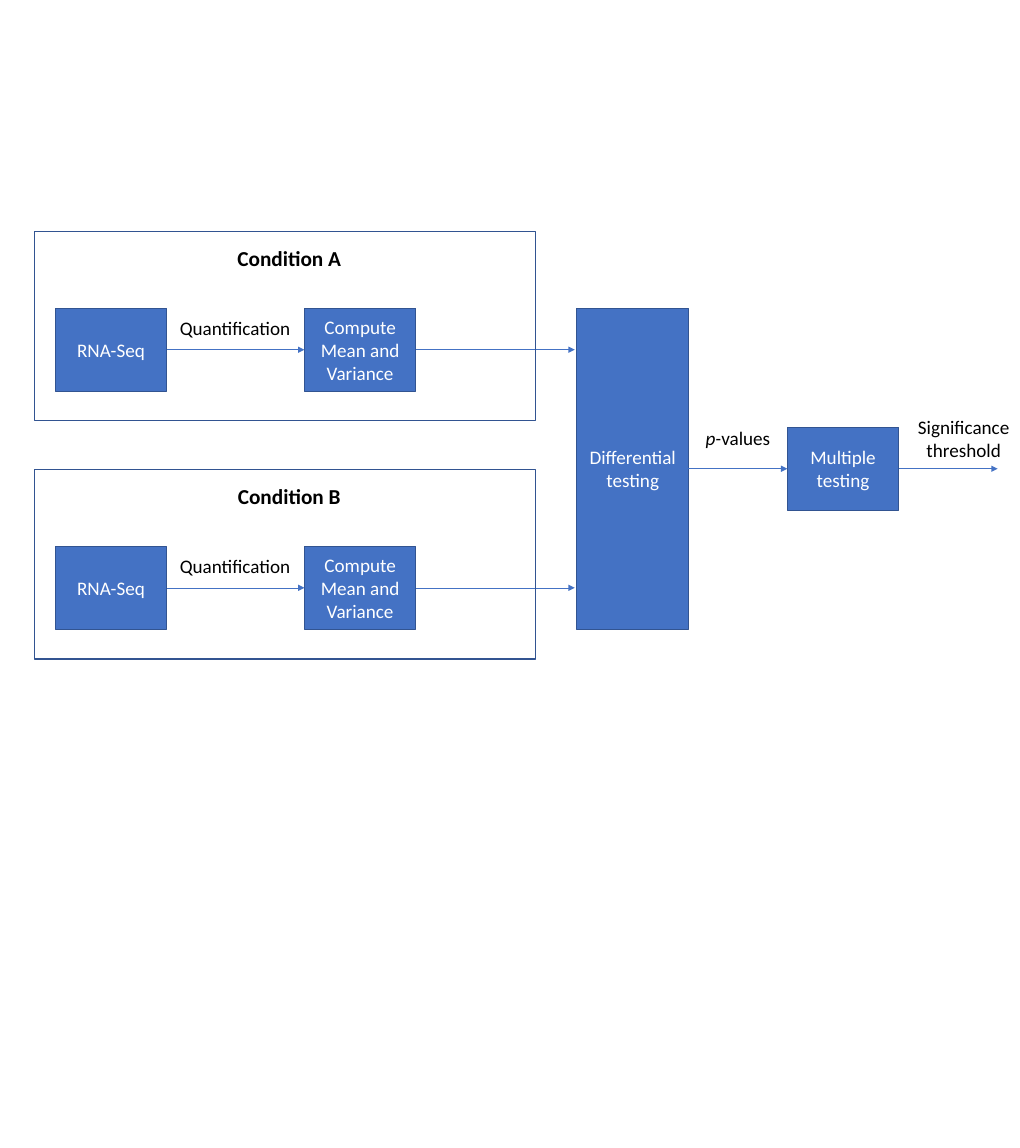
from pptx import Presentation
from pptx.dml.color import RGBColor
from pptx.enum.shapes import MSO_CONNECTOR as LINK, MSO_SHAPE as SHAPE
from pptx.enum.text import MSO_ANCHOR as ANCHOR, MSO_AUTO_SIZE as AUTO, PP_ALIGN as ALIGN
from pptx.oxml.ns import qn
from pptx.util import Pt
from lxml.etree import SubElement

BLUE, EDGE, WHITE, BLACK = "4472C4", "325491", "FFFFFF", "000000"
LEFT, RIGHT = 1, 3
BOX_W, BOX_H = 105, 78
PITCH = 224


def color(code):
    """Turn a hex string into a colour."""
    return RGBColor.from_string(code)


def write(shape, runs, tint, **form):
    """Fill a shape with centred runs, each a text and its own format."""
    frame = shape.text_frame
    frame.word_wrap = True
    para = frame.paragraphs[0]
    para.alignment = ALIGN.CENTER
    for text, extra in runs:
        run = para.add_run()
        run.text = text
        run.font.color.rgb = color(tint)
        look = {"name": "Calibri", "size": Pt(18), **form, **extra}
        for key, value in look.items():
            setattr(run.font, key, value)


def rect(slide, x, y, w, h, fill=None):
    """Draw an outlined rectangle, hollow unless a fill is given."""
    shape = slide.shapes.add_shape(SHAPE.RECTANGLE, Pt(x), Pt(y), Pt(w), Pt(h))
    shape.shadow.inherit = False
    if fill:
        shape.fill.solid()
        shape.fill.fore_color.rgb = color(fill)
    else:
        shape.fill.background()
    shape.line.color.rgb = color(EDGE)
    shape.line.width = Pt(1)
    return shape


def step(slide, x, y, text, h=BOX_H):
    """Draw a filled process box with its name."""
    shape = rect(slide, x, y, BOX_W, h, BLUE)
    shape.text_frame.vertical_anchor = ANCHOR.MIDDLE
    write(shape, [(text, {})], WHITE)
    return shape


def label(slide, x, y, w, h, runs, **form):
    """Place a free text label."""
    shape = slide.shapes.add_textbox(Pt(x), Pt(y), Pt(w), Pt(h))
    write(shape, runs, BLACK, **form)
    shape.text_frame.auto_size = AUTO.SHAPE_TO_FIT_TEXT


def arrow(slide, start, end):
    """Draw a level arrow from a box to another box or to an x position."""
    y = start.top + start.height // 2
    stop = Pt(end) if isinstance(end, (int, float)) else end.left
    line = slide.shapes.add_connector(LINK.STRAIGHT, start.left + start.width, y, stop, y)
    line.begin_connect(start, RIGHT)
    if stop != Pt(end if isinstance(end, (int, float)) else 0):
        line.end_connect(end, LEFT)
    line.line.color.rgb = color(BLUE)
    line.line.width = Pt(0.5)
    SubElement(line.line._get_or_add_ln(), qn("a:tailEnd"), type="triangle")
    SubElement(line._element.spPr, qn("a:effectLst"))


def panel(slide, x, y, w, h, name):
    """Draw one condition with its two steps inside the given frame."""
    top = y + 72.5
    reads = step(slide, x + 19.5, top, "RNA-Seq")
    stats = step(slide, x + 254, top, "Compute Mean and Variance")
    arrow(slide, reads, stats)
    arrow(slide, stats, 541)
    label(slide, x + 178.5, y + 9.5, 122.5, 31.5, [(name, {})], size=Pt(20), bold=True)
    label(slide, x + 108.5, y + 76.5, 160.5, 29, [("Quantification", {})])
    rect(slide, x, y, w, h)


def tests(slide, x, y, h):
    """Draw the testing steps and the outcome right of the panels."""
    mid = y + h / 2
    diff = step(slide, x, y, "Differential testing", h)
    multi = step(slide, x + 198, mid - BOX_H / 2, "Multiple testing")
    arrow(slide, diff, multi)
    arrow(slide, multi, 939)
    label(slide, x + 70.5, mid - 43.5, 162, 29, [("p-", {"italic": True}), ("values", {})])
    label(slide, x + 283, mid - 54, 162, 51, [("Significance threshold", {})])


def main():
    """Build the slide and save it."""
    deck = Presentation()
    deck.slide_width, deck.slide_height = Pt(960), Pt(1080)
    slide = deck.slides.add_slide(deck.slide_layouts[6])
    for row, name in enumerate(("Condition A", "Condition B")):
        panel(slide, 32.5, 217.5 + row * PITCH, 471.5, 178.5, name)
    tests(slide, 543, 290, PITCH + BOX_H)
    deck.save("out.pptx")


if __name__ == "__main__":
    main()
